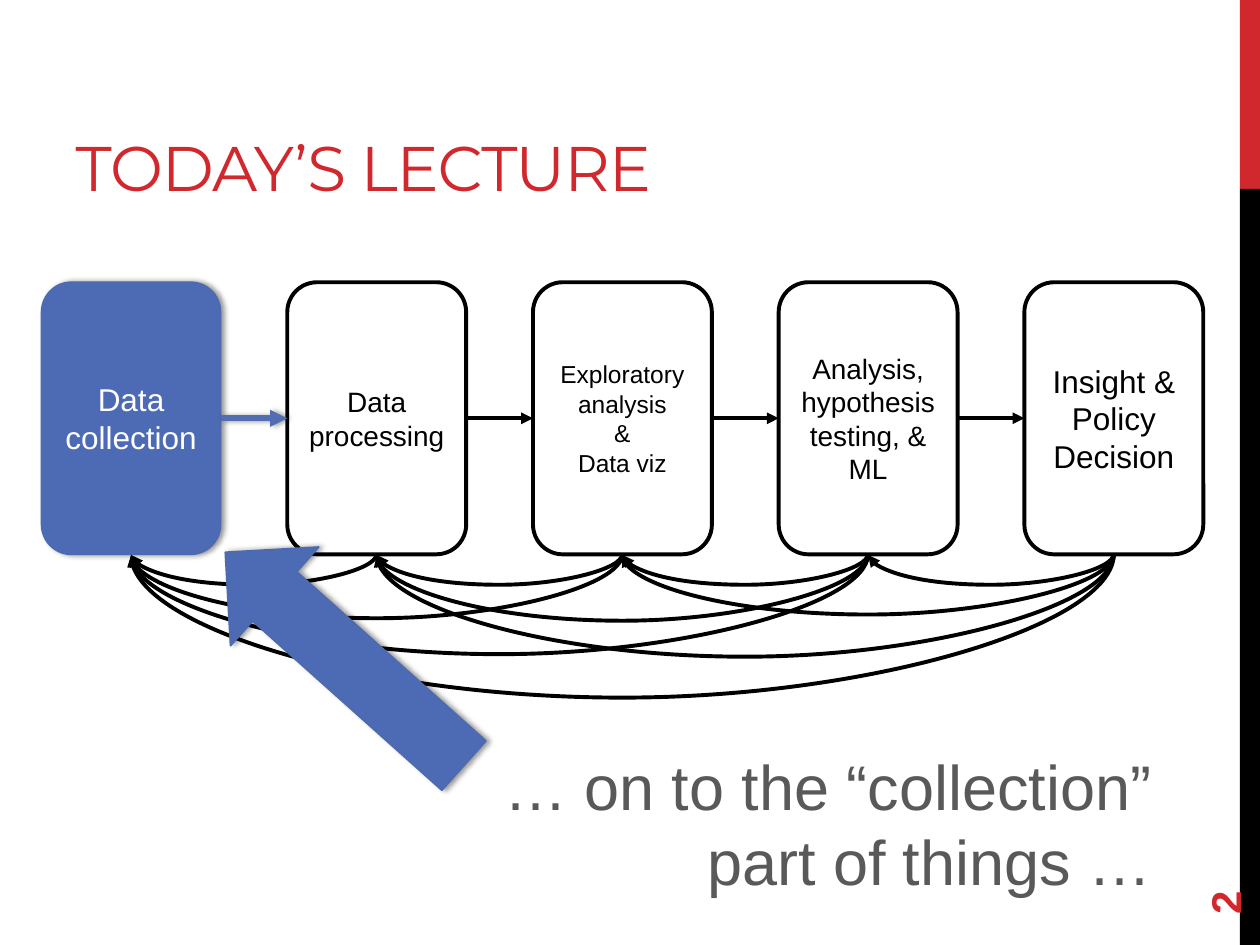
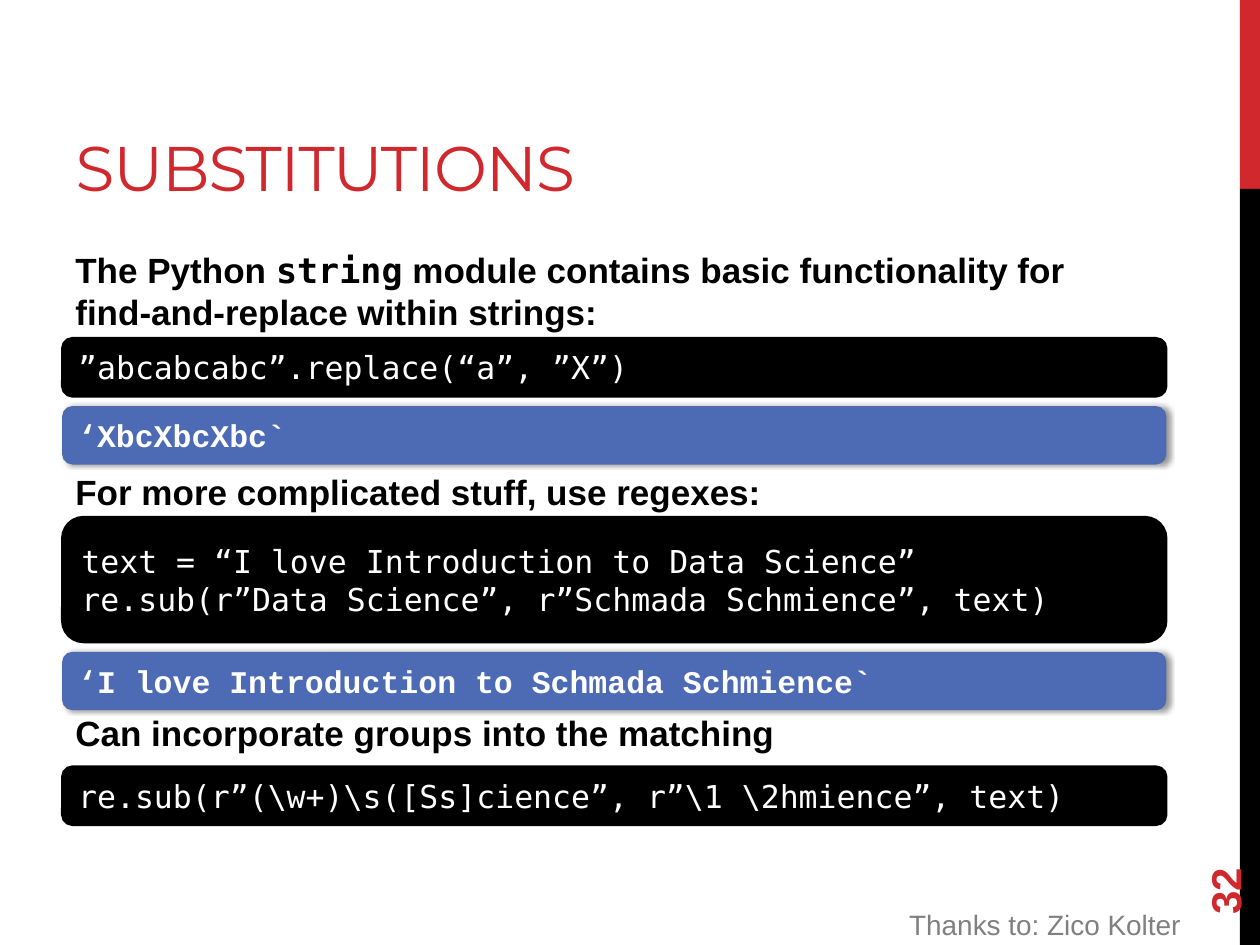
from lxml.etree import SubElement
from pptx import Presentation
from pptx.dml.color import RGBColor
from pptx.enum.shapes import MSO_CONNECTOR as LINK, MSO_SHAPE as SHAPE
from pptx.enum.text import MSO_ANCHOR as ANCHOR, MSO_AUTO_SIZE as AUTO_SIZE, PP_ALIGN as ALIGN
from pptx.oxml.ns import qn
from pptx.util import Inches, Pt

RED = RGBColor(0xD1, 0x28, 0x2E)
BLACK = RGBColor(0, 0, 0)
WHITE = RGBColor(0xFF, 0xFF, 0xFF)
BLUE = RGBColor(0x4D, 0x6B, 0xB5)
BLUE_EDGE = RGBColor(0x4E, 0x6A, 0xAE)
BLUE_LINK = RGBColor(0x52, 0x6D, 0xB0)
DARK_GREY = RGBColor(0x59, 0x59, 0x59)
GREY = RGBColor(0x80, 0x80, 0x80)
SANS, TITLE_FONT = "Arial", "Montserrat"
MONO, OUTPUT_FONT = "DejaVu Sans Mono", "Courier New"

STAGES = [
    (["Data collection"], 18),
    (["Data processing"], 16),
    (["Exploratory analysis", "&", "Data viz"], 14),
    (["Analysis, hypothesis testing, & ML"], 16),
    (["Insight & Policy Decision"], 18),
]
STAGE_WIDTH, STAGE_HEIGHT, STAGE_PITCH = 1.42, 2.16, 1.95
ARC_DEPTHS = [
    [],
    [0.25],
    [0.25, 0.52],
    [0.25, 0.54, 0.81],
    [0.25, 0.49, 0.83, 1.16],
]
ARC_RISE = 0.01
CODE_BARS = [
    (2.69, 0.45, ["”abcabcabc”.replace(“a”, ”X”)"]),
    (4.11, 0.98, ["text = “I love Introduction to Data Science”",
                  "re.sub(r”Data Science”, r”Schmada Schmience”, text)"]),
    (6.09, 0.45, [r"re.sub(r”(\w+)\s([Ss]cience”, r”\1 \2hmience”, text)"]),
]
OUTPUT_BARS = [
    (3.23, 0.45, ["‘XbcXbcXbc`"]),
    (5.18, 0.45, ["‘I love Introduction to Schmada Schmience`"]),
]
BODY_PITCH, BODY_LINE = 34.1, 23


def write_text(frame, paragraphs, size, color, font=SANS, bold=False,
               align=ALIGN.LEFT, anchor=ANCHOR.TOP, gaps=(), spacing=None):
    """Fill a frame with paragraphs, each a string or a list of (text, font) spans."""
    frame.word_wrap = True
    frame.auto_size = AUTO_SIZE.NONE
    frame.vertical_anchor = anchor
    for index, content in enumerate(paragraphs):
        para = frame.paragraphs[0] if index == 0 else frame.add_paragraph()
        para.alignment = align
        if index and gaps:
            para.space_before = Pt(gaps[index - 1])
        for text, face in [(content, font)] if isinstance(content, str) else content:
            span = para.add_run()
            span.text = text
            span.font.name = face
            span.font.size = Pt(size)
            span.font.bold = bold
            span.font.color.rgb = color
            if spacing is not None:
                span.font._element.set("spc", str(round(spacing * 100)))


def add_text(page, box, paragraphs, **style):
    """Add a text box at (left, top, width, height) in inches."""
    shape = page.shapes.add_textbox(*map(Inches, box))
    write_text(shape.text_frame, paragraphs, **style)
    return shape


def cast_shadow(effects):
    """Put a soft shadow to the right in an effect list."""
    shadow = SubElement(effects, qn("a:outerShdw"), blurRad=str(Pt(3.1)),
                        dist=str(Pt(1.8)), dir="0", rotWithShape="0")
    tone = SubElement(shadow, qn("a:srgbClr"), val="000000")
    SubElement(tone, qn("a:alpha"), val="40000")


def add_block(page, kind, box, fill, edge=None, edge_width=1, shadow=False):
    """Add a filled preset shape with an optional edge and shadow."""
    shape = page.shapes.add_shape(kind, *map(Inches, box))
    shape.fill.solid()
    shape.fill.fore_color.rgb = fill
    if edge is None:
        shape.line.fill.background()
    else:
        shape.line.color.rgb = edge
        shape.line.width = Pt(edge_width)
    shape.shadow.inherit = False
    if shadow:
        cast_shadow(shape._element.spPr.find(qn("a:effectLst")))
    return shape


def add_arrow(page, kind, start, start_side, end, end_side,
              color=BLACK, width=2.25, shadow=False):
    """Join two shapes with a connector that ends in a triangle."""
    arrow = page.shapes.add_connector(kind, 0, 0, 0, 0)
    arrow.begin_connect(start, start_side)
    arrow.end_connect(end, end_side)
    arrow.line.color.rgb = color
    arrow.line.width = Pt(width)
    properties = arrow._element.spPr
    SubElement(properties.find(qn("a:ln")), qn("a:tailEnd"), type="triangle")
    effects = SubElement(properties, qn("a:effectLst"))
    if shadow:
        cast_shadow(effects)
    return arrow


def add_return_arc(page, start, end, depth):
    """Curve an arrow below the stages, from a later one back to an earlier one."""
    arc = add_arrow(page, LINK.CURVE, start, 2, end, 2)
    reach = start.left - end.left
    middle = (start.left + end.left + start.width) // 2
    arc.width, arc.height = Inches(ARC_RISE), reach
    arc.left = middle - arc.width // 2
    arc.top = start.top + start.height - reach // 2
    frame = arc._element.spPr.find(qn("a:xfrm"))
    for flip in ("flipH", "flipV"):
        frame.attrib.pop(flip, None)
    frame.set("rot", str(90 * 60000))
    geometry = arc._element.spPr.find(qn("a:prstGeom"))
    guides = geometry.find(qn("a:avLst"))
    if guides is None:
        guides = SubElement(geometry, qn("a:avLst"))
    SubElement(guides, qn("a:gd"), name="adj1",
               fmla=f"val {round(depth / ARC_RISE * 100000)}")


def add_page(deck, title, number):
    """Add a slide with its side bands, title and turned slide number."""
    page = deck.slides.add_slide(deck.slide_layouts[5])
    add_block(page, SHAPE.RECTANGLE, (9.84, 0, 0.16, 1.5), RED)
    add_block(page, SHAPE.RECTANGLE, (9.84, 1.5, 0.16, 6), BLACK)
    heading = page.shapes.title
    heading.left, heading.top, heading.width, heading.height = map(
        Inches, (0.5, 0.17, 6.33, 1.5))
    write_text(heading.text_frame, [title], size=36, color=RED, font=TITLE_FONT,
               anchor=ANCHOR.BOTTOM, spacing=-0.6)
    label = add_text(page, (9, 6.44, 1.44, 0.4), [number], size=24, color=RED,
                     bold=True, anchor=ANCHOR.MIDDLE)
    label.rotation = 270
    return page


def add_pipeline(page, left, top):
    """Draw the row of stages with forward arrows and return arcs."""
    stages = []
    for index, (lines, size) in enumerate(STAGES):
        active = index == 0
        look = (dict(fill=BLUE, edge=BLUE_EDGE, shadow=True) if active
                else dict(fill=WHITE, edge=BLACK, edge_width=2.25))
        box = (left + index * STAGE_PITCH, top, STAGE_WIDTH, STAGE_HEIGHT)
        stage = add_block(page, SHAPE.ROUNDED_RECTANGLE, box, **look)
        write_text(stage.text_frame, lines, size=size, color=WHITE if active else BLACK,
                   align=ALIGN.CENTER, anchor=ANCHOR.MIDDLE)
        if stages:
            style = dict(color=BLUE_LINK, width=3.25, shadow=True) if index == 1 else {}
            add_arrow(page, LINK.STRAIGHT, stages[-1], 3, stage, 1, **style)
        for earlier, depth in zip(reversed(stages), ARC_DEPTHS[index]):
            add_return_arc(page, stage, earlier, depth)
        stages.append(stage)


def add_bars(page, left, width, bars, look, style):
    """Add rounded bars of code or output, all in one look."""
    for top, height, lines in bars:
        bar = add_block(page, SHAPE.ROUNDED_RECTANGLE, (left, top, width, height), **look)
        write_text(bar.text_frame, lines, size=18, color=WHITE,
                   anchor=ANCHOR.MIDDLE, **style)


def build_lecture(deck):
    """Build the slide that points to the collection stage."""
    page = add_page(deck, "TODAY’S LECTURE", "2")
    add_pipeline(page, 0.33, 2.24)
    pointer = add_block(page, SHAPE.DOWN_ARROW, (2.21, 3.96, 1.05, 2.54), BLUE,
                        edge=BLUE_EDGE, shadow=True)
    pointer.rotation = 131.8
    add_text(page, (3.57, 5.88, 5.67, 1.31), ["… on to the “collection” part of things …"],
             size=36, color=DARK_GREY, align=ALIGN.RIGHT)


def build_substitutions(deck):
    """Build the slide on replacing text in strings."""
    page = add_page(deck, "SUBSTITUTIONS", "32")
    intro = [("The Python ", SANS), ("string", MONO),
             (" module contains basic functionality for find-and-replace within strings:", SANS)]
    add_text(page, (0.5, 1.92, 8.33, 4.78),
             [intro, "For more complicated stuff, use regexes:",
              "Can incorporate groups into the matching"],
             size=20, color=BLACK, bold=True,
             gaps=[slots * BODY_PITCH - BODY_LINE for slots in (3, 4)])
    add_bars(page, 0.5, 8.75, CODE_BARS,
             dict(fill=BLACK, edge=BLACK, edge_width=2.25), dict(font=MONO))
    add_bars(page, 0.5, 8.75, OUTPUT_BARS,
             dict(fill=BLUE, edge=BLUE_EDGE, shadow=True), dict(font=OUTPUT_FONT, bold=True))
    add_text(page, (4.06, 7.15, 5.41, 0.37), ["Thanks to: Zico Kolter"],
             size=16, color=GREY, align=ALIGN.RIGHT)


def main():
    """Build the deck and save it."""
    deck = Presentation()
    deck.slide_width, deck.slide_height = Inches(10), Inches(7.5)
    build_lecture(deck)
    build_substitutions(deck)
    deck.save("out.pptx")


if __name__ == "__main__":
    main()
